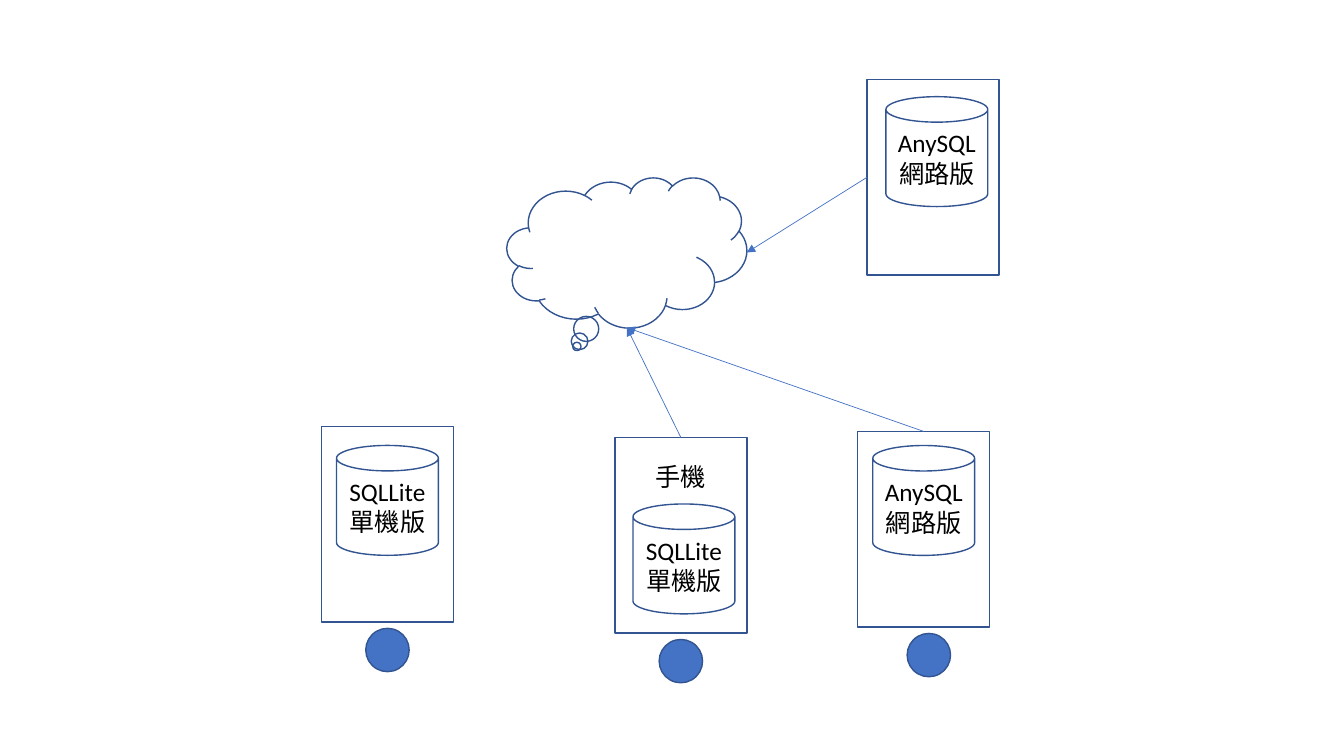
from pptx import Presentation
from pptx.dml.color import RGBColor
from pptx.enum.shapes import MSO_CONNECTOR, MSO_SHAPE as SHAPE
from pptx.enum.text import MSO_ANCHOR as ANCHOR, PP_ALIGN
from pptx.oxml.ns import qn
from pptx.util import Inches, Pt
from lxml.etree import SubElement

BLUE, OUTLINE, BLACK = "4472C4", "325491", "000000"
MACHINE_W, MACHINE_H = 9.82, 25.87
CAN_W, CAN_H = 7.58, 14.53
DOT_W, DOT_H, DOT_GAP = 3.23, 5.73, 0.85

prs = Presentation()
prs.slide_width, prs.slide_height = Inches(13.33), Inches(7.5)
slide = prs.slides.add_slide(prs.slide_layouts[6])


def rgb(value):
    return RGBColor.from_string(value)


def across(share):
    return round(prs.slide_width * share / 100)


def down(share):
    return round(prs.slide_height * share / 100)


def set_attrs(obj, values):
    for name, value in values.items():
        setattr(obj, name, value)


def add_shape(kind, box, lines=(), fill=None, **frame):
    x, y, w, h = box
    sp = slide.shapes.add_shape(kind, across(x), down(y), across(w), down(h))
    sp.shadow.inherit = False
    if fill:
        sp.fill.solid()
        sp.fill.fore_color.rgb = rgb(fill)
    else:
        sp.fill.background()
    sp.line.color.rgb = rgb(OUTLINE)
    sp.line.width = Pt(1)
    tf = sp.text_frame
    set_attrs(tf, {"word_wrap": True, "vertical_anchor": ANCHOR.MIDDLE, **frame})
    for i, line in enumerate(lines):
        p = tf.add_paragraph() if i else tf.paragraphs[0]
        p.alignment = PP_ALIGN.CENTER
        r = p.add_run()
        r.text = line
        set_attrs(r.font, {"name": "Calibri", "size": Pt(18)})
        r.font.color.rgb = rgb(BLACK)
    return box


def add_arrow(start, end):
    (x1, y1), (x2, y2) = start, end
    cn = slide.shapes.add_connector(
        MSO_CONNECTOR.STRAIGHT, across(x1), down(y1), across(x2), down(y2))
    cn.line.color.rgb = rgb(BLUE)
    cn.line.width = Pt(0.5)
    SubElement(cn.line._get_or_add_ln(), qn("a:tailEnd"), type="triangle")
    SubElement(cn._element.spPr, qn("a:effectLst"))


def add_machine(x, y, database, can_dx, can_dy, label=(), dot=True, dot_dx=0):
    add_shape(SHAPE.RECTANGLE, (x, y, MACHINE_W, MACHINE_H), label,
              vertical_anchor=ANCHOR.TOP, margin_top=down(3.1))
    add_shape(SHAPE.CAN, (x + can_dx, y + can_dy, CAN_W, CAN_H), database)
    if dot:
        add_shape(SHAPE.OVAL, (x + (MACHINE_W - DOT_W) / 2 + dot_dx,
                               y + MACHINE_H + DOT_GAP, DOT_W, DOT_H), fill=BLUE)
    return {"top": (x + MACHINE_W / 2, y), "left": (x, y + MACHINE_H / 2)}


def add_cloud(x, y, w, h):
    add_shape(SHAPE.CLOUD_CALLOUT, (x, y, w, h))
    return {"right": (x + w, y + h / 2), "bottom": (x + w / 2, y + h)}


local_db = ["SQLLite", "單機版"]
network_db = ["AnySQL", "網路版"]

cloud = add_cloud(37.72, 23.47, 17.85, 19.87)
server = add_machine(64.5, 10.53, network_db, 1.42, 2.27, dot=False)
add_machine(23.92, 56.4, local_db, 1.12, 2.53)
phone = add_machine(45.75, 57.87, local_db, 1.35, 8.8, label=["手機"])
client = add_machine(63.82, 57.07, network_db, 1.12, 1.87, dot_dx=0.38)

add_arrow(server["left"], cloud["right"])
for machine in (client, phone):
    add_arrow(machine["top"], cloud["bottom"])

prs.save("out.pptx")
